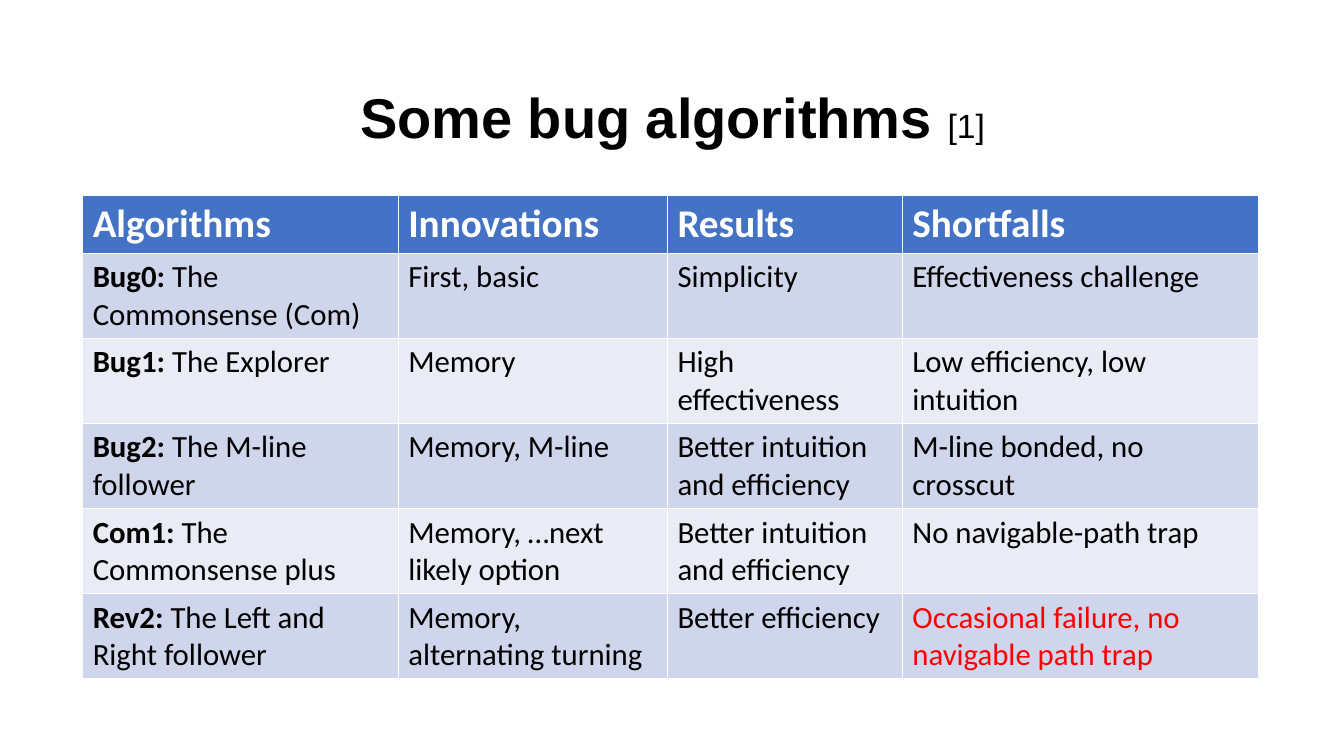
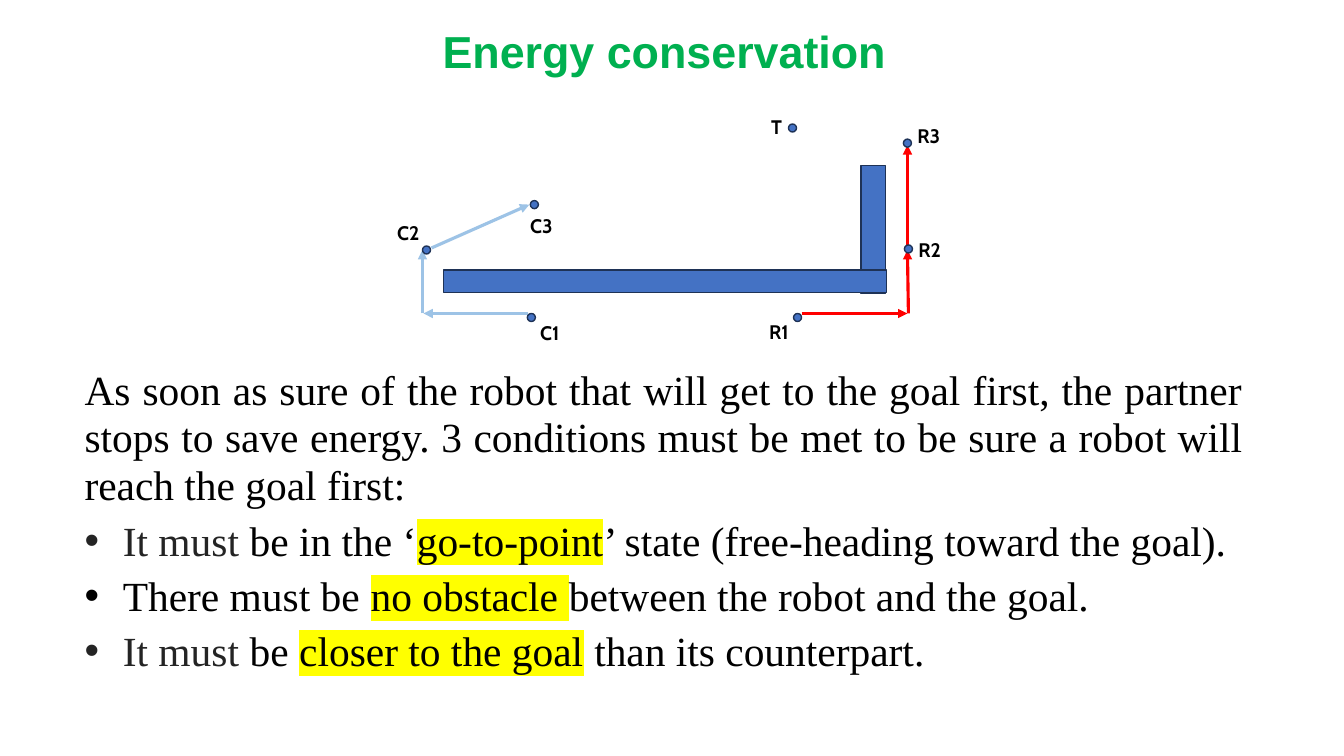
from dataclasses import dataclass
from typing import Optional

from lxml.etree import SubElement
from pptx import Presentation
from pptx.dml.color import RGBColor
from pptx.enum.shapes import MSO_CONNECTOR, MSO_SHAPE
from pptx.enum.text import MSO_ANCHOR, PP_ALIGN
from pptx.oxml.ns import qn
from pptx.util import Emu, Pt

EMU_PER_PX = 9144  # 100 px to the inch

BLACK = RGBColor(0x00, 0x00, 0x00)
WHITE = RGBColor(0xFF, 0xFF, 0xFF)
CHARCOAL = RGBColor(0x24, 0x24, 0x24)
BLUE = RGBColor(0x44, 0x72, 0xC4)
NAVY = RGBColor(0x1E, 0x32, 0x56)
SKY = RGBColor(0x9D, 0xC3, 0xE6)
RED = RGBColor(0xFF, 0x00, 0x00)
GREEN = RGBColor(0x00, 0xB0, 0x50)
YELLOW = RGBColor(0xFF, 0xFF, 0x00)
BANDS = (RGBColor(0xCF, 0xD5, 0xEA), RGBColor(0xE9, 0xEB, 0xF5))

HEADINGS = ("Algorithms", "Innovations", "Results", "Shortfalls")
ALGORITHMS = (
    ("Bug0:", " The Commonsense (Com)", "First, basic", "Simplicity",
     "Effectiveness challenge"),
    ("Bug1:", " The Explorer", "Memory", "High effectiveness",
     "Low efficiency, low intuition"),
    ("Bug2:", " The M-line follower", "Memory, M-line",
     "Better intuition and efficiency", "M-line bonded, no crosscut"),
    ("Com1:", " The Commonsense plus", "Memory, …next likely option",
     "Better intuition and efficiency", "No navigable-path trap"),
    ("Rev2:", " The Left and Right follower", "Memory, alternating turning",
     "Better efficiency", "Occasional failure, no navigable path trap"),
)

# Start and end of each step, by robot
COMMONSENSE_STEPS = ((524, 311, 420, 311), (419, 311, 419, 248),
                     (428, 246, 525, 203))
REVERSE_STEPS = ((795, 311, 900, 311), (901, 311, 900, 248),
                 (900, 245, 900, 144))
WALLS = ((854, 164, 24, 127), (440, 268, 439, 22))
DOT = 8
# Name, left and top of the dot, left and top of the label
POINTS = (
    ("T", 782, 123, 755, 107),
    ("C1", 523, 311, 526, 312),
    ("C2", 419, 244, 384, 213),
    ("C3", 526, 199, 516, 206),
    ("R1", 787, 311, 753, 311),
    ("R2", 897, 243, 901, 230),
    ("R3", 896, 138, 900, 116),
)


@dataclass
class Span:
    """A piece of text; what is unset follows its paragraph."""
    text: str
    bold: Optional[bool] = None
    size: Optional[float] = None
    color: Optional[RGBColor] = None
    highlight: Optional[RGBColor] = None


CONDITIONS = (
    (Span("It must", color=CHARCOAL), Span(" be in the ‘"),
     Span("go-to-point", highlight=YELLOW),
     Span("’ state (free-heading toward the goal).")),
    (Span("There must be "), Span("no obstacle ", highlight=YELLOW),
     Span("between the robot and the goal.")),
    (Span("It must", color=CHARCOAL), Span(" be "),
     Span("closer to the goal", highlight=YELLOW),
     Span(" than its counterpart.")),
)


def px(*lengths):
    return [Emu(length * EMU_PER_PX) for length in lengths]


class Painter:
    title_font = "Arial"
    table_font = "Calibri"
    body_font = "Times New Roman"
    label_font = "Cabin"

    def __init__(self):
        self.deck = Presentation()
        self.deck.slide_width, self.deck.slide_height = px(1333, 750)
        self.slide = None

    def fill_paragraph(self, para, spans, font, size, color=BLACK, bold=False,
                       align=PP_ALIGN.LEFT, spacing=None):
        para.alignment = align
        if spacing:
            para.line_spacing = spacing
        para.font.name = font
        para.font.size = Pt(size)
        para.font.bold = bold
        para.font.color.rgb = color
        for span in spans:
            run = para.add_run()
            run.text = span.text
            if span.bold is not None:
                run.font.bold = span.bold
            if span.size:
                run.font.size = Pt(span.size)
            if span.color is not None:
                run.font.color.rgb = span.color
            if span.highlight is not None:
                mark = SubElement(run._r.get_or_add_rPr(), qn("a:highlight"))
                SubElement(mark, qn("a:srgbClr"), val=str(span.highlight))

    def add_slide(self, spans, area, size, color=BLACK):
        """Start a slide with a centred bold title in the given area."""
        self.slide = self.deck.slides.add_slide(self.deck.slide_layouts[5])
        title = self.slide.shapes.title
        title.left, title.top, title.width, title.height = px(*area)
        frame = title.text_frame
        frame.vertical_anchor = MSO_ANCHOR.BOTTOM
        self.fill_paragraph(frame.paragraphs[0], spans, self.title_font, size,
                            color, bold=True, align=PP_ALIGN.CENTER,
                            spacing=0.9)

    def add_table(self, left, top, widths, heights, rows):
        """Draw rows of span lists, the first row as the header."""
        table = self.slide.shapes.add_table(
            len(rows), len(widths),
            *px(left, top, sum(widths), sum(heights))).table
        for column, width in zip(table.columns, px(*widths)):
            column.width = width
        for row, height in zip(table.rows, px(*heights)):
            row.height = height
        for index, row in enumerate(rows):
            header = index == 0
            for cell, spans in zip(table.rows[index].cells, row):
                cell.fill.solid()
                cell.fill.fore_color.rgb = (
                    BLUE if header else BANDS[(index - 1) % 2])
                self.fill_paragraph(cell.text_frame.paragraphs[0], spans,
                                    self.table_font, 28 if header else 22,
                                    WHITE if header else BLACK, bold=header)

    def add_box(self, left, top, width, height):
        box = self.slide.shapes.add_textbox(*px(left, top, width, height))
        box.text_frame.word_wrap = True
        return box.text_frame

    def add_body(self, area, intro, bullets):
        frame = self.add_box(*area)
        style = dict(font=self.body_font, size=29.6, align=PP_ALIGN.JUSTIFY)
        self.fill_paragraph(frame.paragraphs[0], [Span(intro)], spacing=0.95,
                            **style)
        indent, = px(38)
        for spans in bullets:
            para = frame.add_paragraph()
            properties = para._p.get_or_add_pPr()
            properties.set("marL", str(indent))
            properties.set("indent", str(-indent))
            SubElement(properties, qn("a:buFont"), typeface="Arial")
            SubElement(properties, qn("a:buChar"), char="•")
            self.fill_paragraph(para, spans, spacing=1.11, **style)

    def add_label(self, text, left, top):
        frame = self.add_box(left, top, 50, 40)
        self.fill_paragraph(frame.paragraphs[0], [Span(text)],
                            self.label_font, 14, bold=True, spacing=1.07)

    def add_shape(self, preset, left, top, width, height):
        shape = self.slide.shapes.add_shape(
            preset, *px(left, top, width, height))
        shape.shadow.inherit = False
        shape.fill.solid()
        shape.fill.fore_color.rgb = BLUE
        shape.line.color.rgb = NAVY
        shape.line.width = Pt(1)

    def add_arrow(self, ends, color):
        arrow = self.slide.shapes.add_connector(
            MSO_CONNECTOR.STRAIGHT, *px(*ends))
        arrow.line.color.rgb = color
        arrow.line.width = Pt(2.25)
        SubElement(arrow.line._get_or_add_ln(), qn("a:tailEnd"),
                   type="triangle")
        SubElement(arrow._element.spPr, qn("a:effectLst"))


def add_algorithms_slide(painter):
    painter.add_slide([Span("Some bug algorithms "),
                       Span("[1]", bold=False, size=24)],
                      (257, 70, 820, 84), 40)
    rows = [[[Span(heading)] for heading in HEADINGS]]
    for name, nickname, *facts in ALGORITHMS:
        rows.append([[Span(name, bold=True), Span(nickname)],
                     *([Span(fact)] for fact in facts)])
    rows[-1][-1][0].color = RED
    painter.add_table(82, 194, (313, 267, 233, 353),
                      [57] + [84] * len(ALGORITHMS), rows)


def add_energy_slide(painter):
    painter.add_slide([Span("Energy conservation")],
                      (299, 20, 720, 63), 32, GREEN)
    painter.add_body(
        (74, 360, 1170, 319),
        "As soon as sure of the robot that will get to the goal first, the "
        "partner stops to save energy. 3 conditions must be met to be sure "
        "a robot will reach the goal first:", CONDITIONS)
    for steps, color in ((COMMONSENSE_STEPS, SKY), (REVERSE_STEPS, RED)):
        for ends in steps:
            painter.add_arrow(ends, color)
    for wall in WALLS:
        painter.add_shape(MSO_SHAPE.RECTANGLE, *wall)
    for name, dot_left, dot_top, label_left, label_top in POINTS:
        painter.add_shape(MSO_SHAPE.OVAL, dot_left, dot_top, DOT, DOT)
        painter.add_label(name, label_left, label_top)


def main():
    painter = Painter()
    add_algorithms_slide(painter)
    add_energy_slide(painter)
    painter.deck.save("out.pptx")


if __name__ == "__main__":
    main()
